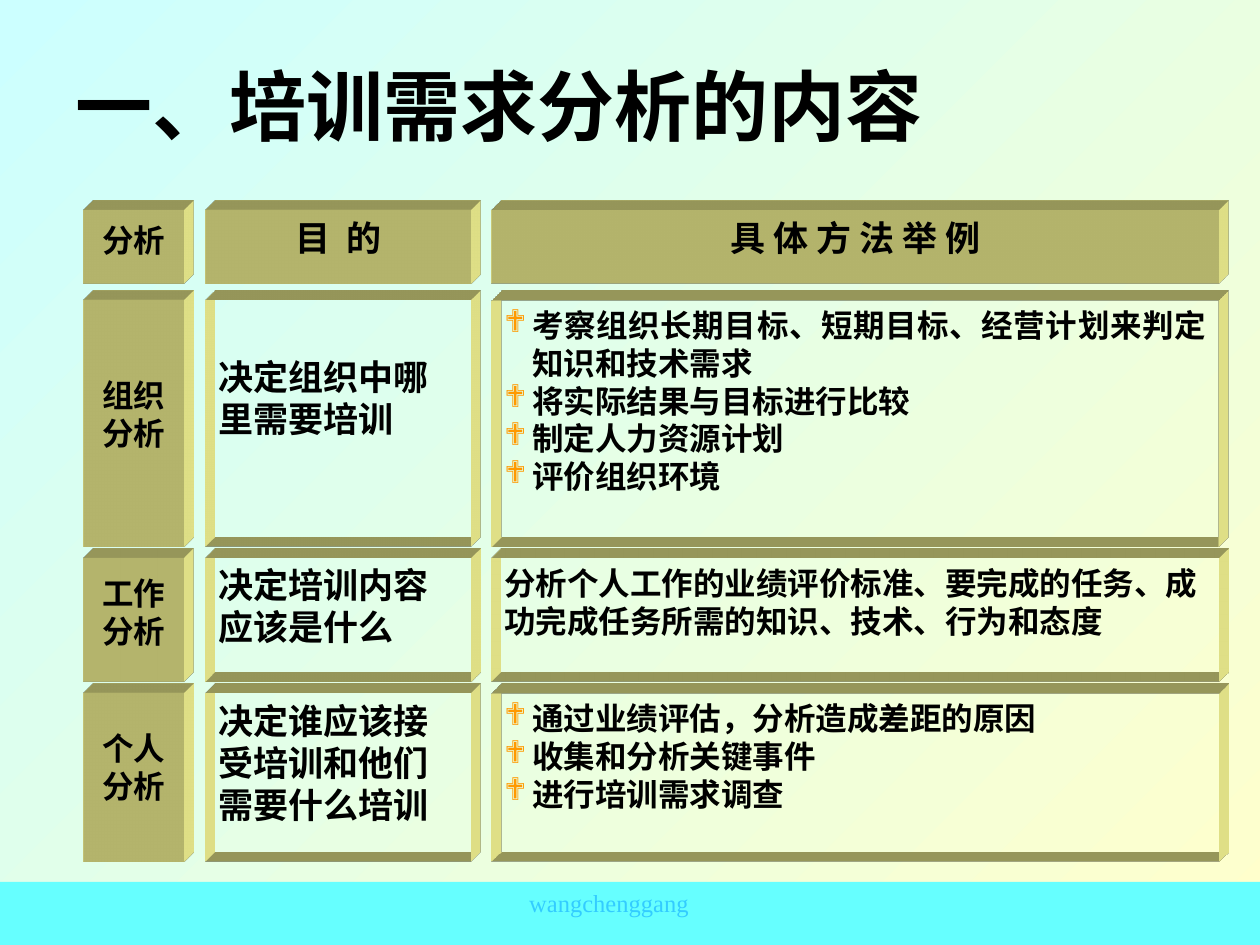
from lxml import etree
from pptx import Presentation, util as u
from pptx.dml.color import RGBColor
from pptx.enum import shapes, text
from pptx.oxml.ns import qn

PX = 914400 // 126
SANS, SERIF = "Noto Sans CJK SC", "Times New Roman"
CREAM = "FFFF99"
LEFT, CENTER, JUSTIFY = text.PP_ALIGN.LEFT, text.PP_ALIGN.CENTER, text.PP_ALIGN.JUSTIFY


def color(value):
    return RGBColor.from_string(value)


def add_rectangle(slide, box, fill=None, line=None):
    shape = slide.shapes.add_shape(shapes.MSO_SHAPE.RECTANGLE, *(v * PX for v in box))
    shape.shadow.inherit = False
    if fill:
        shape.fill.solid()
        shape.fill.fore_color.rgb = color(fill)
    else:
        shape.fill.background()
    if line:
        shape.line.color.rgb = color(line)
        shape.line.width = u.Pt(0.75)
    else:
        shape.line.fill.background()
    return shape


def extrude(shape):
    """Give the shape depth towards the top right."""
    properties = shape._element.spPr
    scene = etree.SubElement(properties, qn("a:scene3d"))
    etree.SubElement(scene, qn("a:camera"), prst="legacyObliqueTopRight")
    etree.SubElement(scene, qn("a:lightRig"), rig="legacyFlat3", dir="b")
    solid = etree.SubElement(properties, qn("a:sp3d"),
                             extrusionH="201600", prstMaterial="legacyMatte")
    for bevel in ("a:bevelT", "a:bevelB"):
        etree.SubElement(solid, qn(bevel), w="13500", h="13500", prst="angle")
    extrusion = etree.SubElement(solid, qn("a:extrusionClr"))
    etree.SubElement(extrusion, qn("a:srgbClr"), val=CREAM)


def add_bullet(paragraph):
    properties = paragraph._p.get_or_add_pPr()
    properties.set("marL", str(28 * PX))
    properties.set("indent", str(-28 * PX))
    bullet_color = etree.SubElement(properties, qn("a:buClr"))
    etree.SubElement(bullet_color, qn("a:srgbClr"), val="FF9900")
    etree.SubElement(properties, qn("a:buFont"), typeface="Wingdings")
    etree.SubElement(properties, qn("a:buChar"), char="❖")


def write(shape, lines, size, align, top=6, font=SERIF, ink="000000", bold=True, bullets=False):
    frame = shape.text_frame
    frame.word_wrap = True
    frame.auto_size = text.MSO_AUTO_SIZE.NONE
    frame.vertical_anchor = text.MSO_ANCHOR.TOP
    frame.margin_left = frame.margin_right = u.Inches(0.1)
    frame.margin_top, frame.margin_bottom = top * PX, u.Inches(0.05)
    for index, line in enumerate(lines):
        paragraph = frame.add_paragraph() if index else frame.paragraphs[0]
        paragraph.alignment = align
        paragraph.line_spacing = u.Pt(size * 1.2)
        paragraph.space_before = u.Pt(0)
        if bullets:
            add_bullet(paragraph)
        run = paragraph.add_run()
        run.text = line
        run.font.size, run.font.bold, run.font.name = u.Pt(size), bold, font
        run.font.color.rgb = color(ink)
        latin = run._r.rPr.find(qn("a:latin"))
        latin.addnext(etree.Element(qn("a:ea"), typeface=SANS))


def add_title(slide, box, line):
    title = slide.shapes.title
    title.left, title.top, title.width, title.height = (v * PX for v in box)
    write(title, [line], 44, LEFT, top=1, font=SANS)
    # Text shadow goes right after the text fill
    fill = title.text_frame.paragraphs[0].runs[0]._r.rPr.find(qn("a:solidFill"))
    effects = etree.Element(qn("a:effectLst"))
    shadow = etree.SubElement(effects, qn("a:outerShdw"), dist="38100", dir="2700000")
    etree.SubElement(shadow, qn("a:srgbClr"), val="FFFFFF")
    fill.addnext(effects)


def add_footer(slide, box):
    add_rectangle(slide, box, "66FFFF")
    x, y, width, height = box
    label = slide.shapes.add_textbox((x + 409) * PX, y * PX, 400 * PX, 42 * PX)
    write(label, ["wangchenggang"], 14, CENTER, ink="33CCFF", bold=False)


def add_matrix(slide, box):
    left, top, width, height = box
    columns = [(0, 100), (122, 265), (408, width - 408)]
    rows = [(0, 74), (90, 247), (348, 124), (483, height - 483)]
    # Each row: name, purpose and method, with the text's distance from the top
    contents = [
        [("分析", 11), ("目  的", 7), (["具 体 方 法 举 例"], 7)],
        [("组织分析", 76), ("决定组织中哪里需要培训", 55),
         (["考察组织长期目标、短期目标、经营计划来判定知识和技术需求",
           "将实际结果与目标进行比较", "制定人力资源计划", "评价组织环境"], 6)],
        [("工作分析", 16), ("决定培训内容应该是什么", 6),
         (["分析个人工作的业绩评价标准、要完成的任务、"
           "成功完成任务所需的知识、技术、行为和态度"], 6)],
        [("个人分析", 36), ("决定谁应该接受培训和他们需要什么培训", 6),
         (["通过业绩评估，分析造成差距的原因", "收集和分析关键事件",
           "进行培训需求调查"], 6)],
    ]
    for row, ((y, row_height), cells) in enumerate(zip(rows, contents)):
        for column, ((x, cell_width), (lines, inset)) in enumerate(zip(columns, cells)):
            header = row == 0
            solid = header or column == 0
            block = add_rectangle(slide, (left + x, top + y, cell_width, row_height),
                                  fill=CREAM if solid else None,
                                  line=None if solid else CREAM)
            extrude(block)
            lines = [lines] if isinstance(lines, str) else lines
            bullets = len(lines) > 1
            size = 20 if column == 1 or (header and column) else 18
            align = CENTER if solid else JUSTIFY if bullets else LEFT
            font = SANS if header and column else SERIF
            write(block, lines, size, align, inset, font, bullets=bullets)


def main():
    presentation = Presentation()
    presentation.slide_width, presentation.slide_height = u.Inches(10), u.Inches(7.5)
    slide = presentation.slides.add_slide(presentation.slide_layouts[5])
    # Diagonal background
    background = slide.background.fill
    background.gradient()
    background.gradient_angle = 315
    for stop, value in zip(background.gradient_stops, ("CCFFFF", "FFFFCC")):
        stop.color.rgb = color(value)
    add_footer(slide, (0, 882, 1260, 63))
    add_title(slide, (63, 57, 955, 105), "一、培训需求分析的内容")
    add_matrix(slide, (84, 210, 1135, 652))
    presentation.save("out.pptx")


if __name__ == "__main__":
    main()
